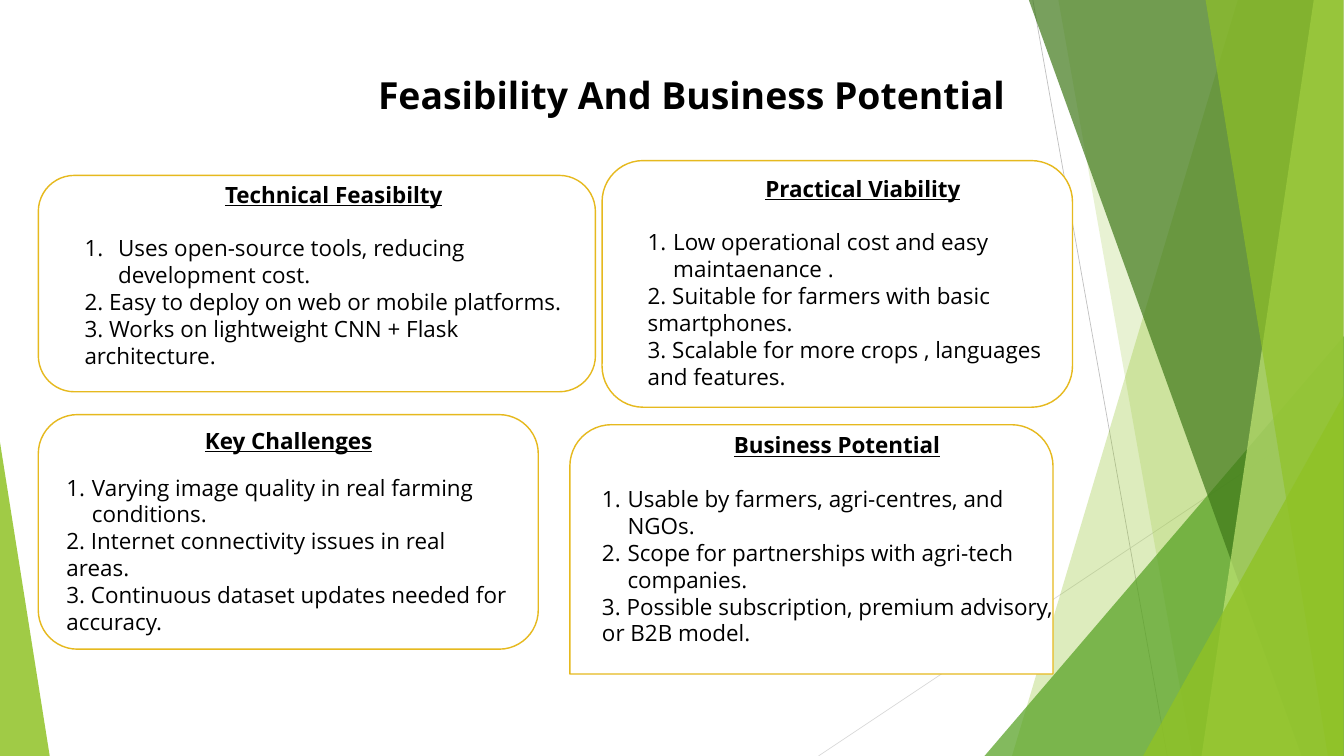
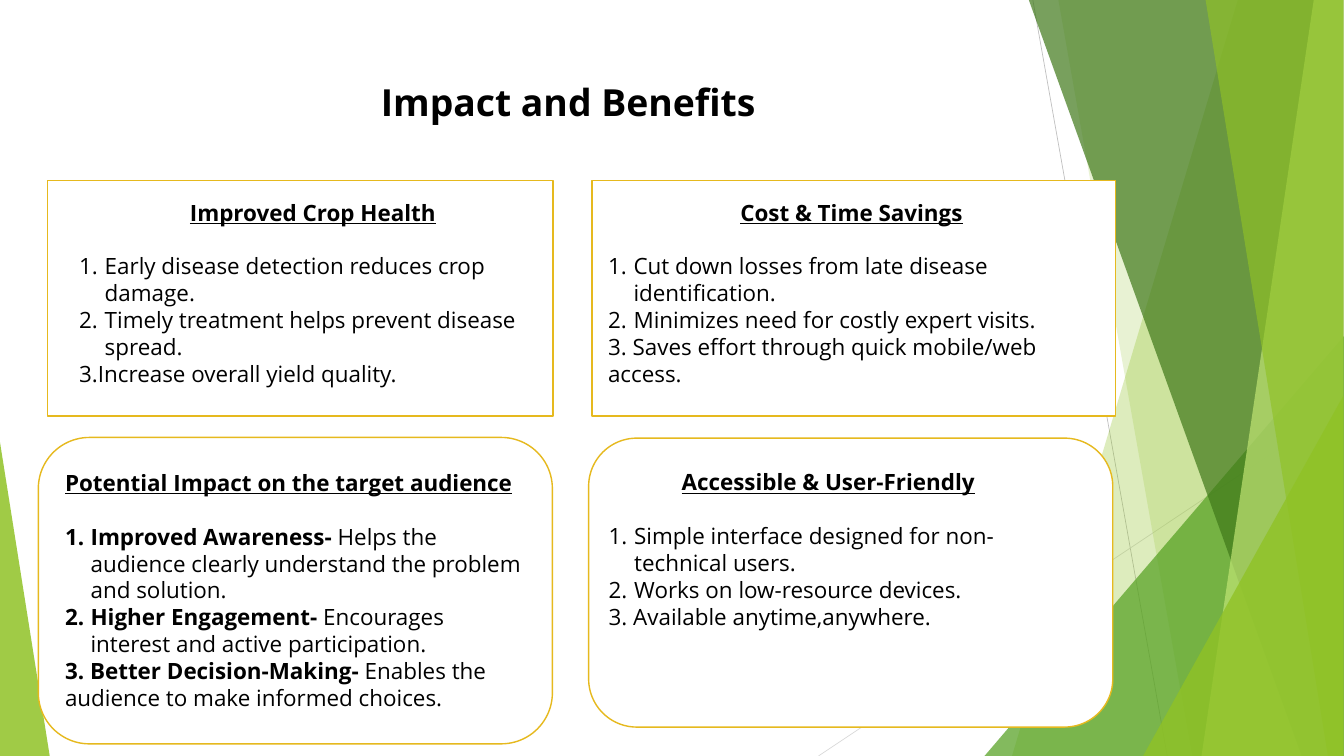
from dataclasses import dataclass
from typing import NamedTuple

from lxml.etree import SubElement
from pptx import Presentation
from pptx.dml.color import RGBColor
from pptx.enum.shapes import MSO_CONNECTOR as Connector, MSO_SHAPE as Preset
from pptx.enum.text import MSO_ANCHOR as Anchor, MSO_AUTO_SIZE as AutoSize, PP_ALIGN as Align
from pptx.oxml.ns import qn
from pptx.util import Inches, Pt

WIDTH, HEIGHT = 20, 11.25
FONT = "Open Sans"
TITLE_SIZE, TEXT_SIZE = 40, 24
LINE_HEIGHT = 1.2

BLACK = RGBColor(0x00, 0x00, 0x00)
WHITE = RGBColor(0xFF, 0xFF, 0xFF)
GOLD = RGBColor(0xE6, 0xB9, 0x1E)
GRAY = RGBColor(0xBF, 0xBF, 0xBF)
LIGHT_GRAY = RGBColor(0xD9, 0xD9, 0xD9)
LIME = RGBColor(0x90, 0xC2, 0x26)
PALE_LIME = RGBColor(0xC0, 0xE4, 0x74)
GREEN = RGBColor(0x54, 0xA0, 0x21)
DARK_GREEN = RGBColor(0x3F, 0x78, 0x19)


class Area(NamedTuple):
    left: float
    top: float
    width: float
    height: float

    def lengths(self) -> list:
        return [Inches(value) for value in self]


class Ray(NamedTuple):
    start: tuple
    end: tuple
    color: RGBColor


class Band(NamedTuple):
    """Strip running from top to bottom of the slide."""
    top_left: float
    bottom_left: float
    right: float
    color: RGBColor
    opacity: int


class Wedge(NamedTuple):
    area: Area
    apex: float
    color: RGBColor
    opacity: int


class Item(NamedTuple):
    text: str
    number: int = 0  # 0 means the number is typed in the text
    lead: str = ""


@dataclass
class Card:
    heading: str
    preset: Preset
    panel: Area
    text_area: Area
    items: list
    gap_size: float = TEXT_SIZE
    hanging: float = 0.38
    heading_indent: float | None = None  # None centres the heading


@dataclass
class Topic:
    title: str
    title_area: Area
    cards: list


# Shared green backdrop, from back to front
BACKDROP = [
    Ray((15.37, 0), (17.37, HEIGHT), GRAY),
    Ray((19.99, 6.04), (12.18, HEIGHT), LIGHT_GRAY),
    Band(18.42, 15.06, 19.99, LIME, 30),
    Band(15.75, 17.74, WIDTH, LIME, 20),
    Wedge(Area(14.65, 5, 5.35, 6.25), 1, GREEN, 72),
    Band(15.31, 19.37, 19.99, DARK_GREEN, 70),
    Band(19.55, 17.88, 19.99, PALE_LIME, 70),
    Band(17.94, 19.76, 19.99, LIME, 65),
    Wedge(Area(17.01, 5.89, 2.98, 5.36), 1, LIME, 80),
    Wedge(Area(0, 6.58, 0.74, 4.67), 0, LIME, 85),
]

TOPICS = [
    Topic("Feasibility And Business Potential", Area(5.52, 1.02, 9.54, 0.77), [
        Card("Technical Feasibilty", Preset.ROUNDED_RECTANGLE,
             Area(0.57, 2.61, 8.29, 3.22), Area(1.16, 2.64, 7.31, 2.93), [
                 Item("Uses open-source tools, reducing development cost.", 1),
                 Item("2. Easy to deploy on web or mobile platforms."),
                 Item("3. Works on lightweight CNN + Flask architecture."),
             ], hanging=0.5, heading_indent=2.09),
        Card("Key Challenges", Preset.ROUNDED_RECTANGLE,
             Area(0.57, 6.17, 7.44, 3.49), Area(0.89, 6.3, 6.81, 3.23), [
                 Item("Varying image quality in real farming conditions.", 1),
                 Item("2. Internet connectivity issues in real areas."),
                 Item("3. Continuous dataset updates needed for accuracy."),
             ], gap_size=18),
        Card("Practical Viability", Preset.ROUNDED_RECTANGLE,
             Area(8.96, 2.39, 7, 3.67), Area(9.54, 2.55, 6.6, 3.33), [
                 Item("Low operational cost and easy maintaenance .", 1),
                 Item("2. Suitable for farmers with basic smartphones."),
                 Item("3. Scalable for more crops , languages and features."),
             ]),
        Card("Business Potential", Preset.ROUND_2_SAME_RECTANGLE,
             Area(8.48, 6.32, 7.19, 3.71), Area(8.86, 6.37, 7.19, 3.33), [
                 Item("Usable by farmers, agri-centres, and NGOs.", 1),
                 Item("Scope for partnerships with agri-tech companies.", 2),
                 Item("3. Possible subscription, premium advisory, or B2B model."),
             ]),
    ]),
    Topic("Impact and Benefits", Area(3.85, 1.13, 9.21, 0.77), [
        Card("Improved Crop Health", Preset.RECTANGLE,
             Area(0.71, 2.69, 7.52, 3.5), Area(1.08, 2.91, 7.15, 2.93), [
                 Item("Early disease detection reduces crop damage.", 1),
                 Item("Timely treatment helps prevent disease spread.", 2),
                 Item("3.Increase overall yield quality."),
             ]),
        Card("Cost & Time Savings", Preset.RECTANGLE,
             Area(8.81, 2.69, 7.79, 3.5), Area(8.95, 2.91, 7.44, 3.23), [
                 Item("Cut down losses from late disease identification.", 1),
                 Item("Minimizes need for costly expert visits.", 2),
                 Item("3. Saves effort through quick mobile/web access."),
             ]),
        Card("Potential Impact on the target audience", Preset.ROUNDED_RECTANGLE,
             Area(0.57, 6.51, 7.65, 4.56), Area(0.87, 6.93, 7.06, 3.74), [
                 Item("Helps the audience clearly understand the problem and solution.",
                      1, "Improved Awareness- "),
                 Item("Encourages interest and active participation.",
                      2, "Higher Engagement- "),
                 Item("Enables the audience to make informed choices.",
                      lead="3. Better Decision-Making- "),
             ], heading_indent=0),
        Card("Accessible & User-Friendly", Preset.ROUNDED_RECTANGLE,
             Area(8.76, 6.52, 7.8, 4.3), Area(8.96, 6.92, 6.73, 2.52), [
                 Item("Simple interface designed for non-technical users.", 1),
                 Item("Works on low-resource devices.", 2),
                 Item("3. Available anytime,anywhere."),
             ]),
    ]),
]


def paint(shape, color: RGBColor, opacity: int = 100) -> None:
    """Flat fill without outline or shadow."""
    shape.shadow.inherit = False
    shape.fill.solid()
    shape.fill.fore_color.rgb = color
    shape.line.fill.background()
    if opacity < 100:
        tint = shape._element.spPr.find(f".//{qn('a:srgbClr')}")
        SubElement(tint, qn("a:alpha"), val=str(opacity * 1000))


def draw_ray(page, ray: Ray) -> None:
    ends = [Inches(value) for value in ray.start + ray.end]
    line = page.shapes.add_connector(Connector.STRAIGHT, *ends)
    line.line.color.rgb = ray.color
    line.line.width = Pt(0.75)
    SubElement(line._element.spPr, qn("a:effectLst"))


def draw_band(page, band: Band) -> None:
    outline = page.shapes.build_freeform(Inches(band.top_left), 0)
    corners = [(band.right, 0), (band.right, HEIGHT), (band.bottom_left, HEIGHT)]
    outline.add_line_segments([(Inches(x), Inches(y)) for x, y in corners])
    paint(outline.convert_to_shape(), band.color, band.opacity)


def draw_wedge(page, wedge: Wedge) -> None:
    shape = page.shapes.add_shape(Preset.ISOSCELES_TRIANGLE, *wedge.area.lengths())
    shape.adjustments[0] = wedge.apex
    paint(shape, wedge.color, wedge.opacity)


def draw_backdrop(page) -> None:
    painters = {Ray: draw_ray, Band: draw_band, Wedge: draw_wedge}
    for part in BACKDROP:
        painters[type(part)](page, part)


def add_span(para, text: str, size: float = TEXT_SIZE, bold: bool = False,
             underline: bool = False) -> None:
    span = para.add_run()
    span.text = text
    font = span.font
    font.name, font.size, font.color.rgb = FONT, Pt(size), BLACK
    font.bold, font.underline = bold, underline


def add_text_frame(page, area: Area):
    frame = page.shapes.add_textbox(*area.lengths()).text_frame
    frame.word_wrap = True
    frame.auto_size = AutoSize.SHAPE_TO_FIT_TEXT
    frame.vertical_anchor = Anchor.TOP
    return frame


def draw_title(page, topic: Topic) -> None:
    para = add_text_frame(page, topic.title_area).paragraphs[0]
    para.alignment = Align.CENTER
    add_span(para, topic.title, TITLE_SIZE, bold=True)


def number_paragraph(para, number: int, hanging: float) -> None:
    properties = para._p.get_or_add_pPr()
    properties.set("marL", str(Inches(hanging)))
    properties.set("indent", str(-Inches(hanging)))
    bullet = SubElement(properties, qn("a:buAutoNum"), type="arabicPeriod")
    if number > 1:
        bullet.set("startAt", str(number))


def draw_card(page, card: Card) -> None:
    panel = page.shapes.add_shape(card.preset, *card.panel.lengths())
    paint(panel, WHITE)
    panel.line.color.rgb = GOLD
    panel.line.width = Pt(1.5)

    # Heading
    frame = add_text_frame(page, card.text_area)
    heading = frame.paragraphs[0]
    if card.heading_indent is None:
        heading.alignment = Align.CENTER
    elif card.heading_indent:
        heading._p.get_or_add_pPr().set("marL", str(Inches(card.heading_indent)))
    add_span(heading, card.heading, bold=True, underline=True)

    # Numbered points
    for index, item in enumerate(card.items):
        para = frame.add_paragraph()
        if index == 0:
            para.space_before = Pt(card.gap_size * LINE_HEIGHT)
        if item.number:
            number_paragraph(para, item.number, card.hanging)
        if item.lead:
            add_span(para, item.lead, bold=True)
        add_span(para, item.text)


def main() -> None:
    deck = Presentation()
    deck.slide_width, deck.slide_height = Inches(WIDTH), Inches(HEIGHT)
    for topic in TOPICS:
        page = deck.slides.add_slide(deck.slide_layouts[6])
        draw_backdrop(page)
        draw_title(page, topic)
        for card in topic.cards:
            draw_card(page, card)
    deck.save("out.pptx")


if __name__ == "__main__":
    main()
